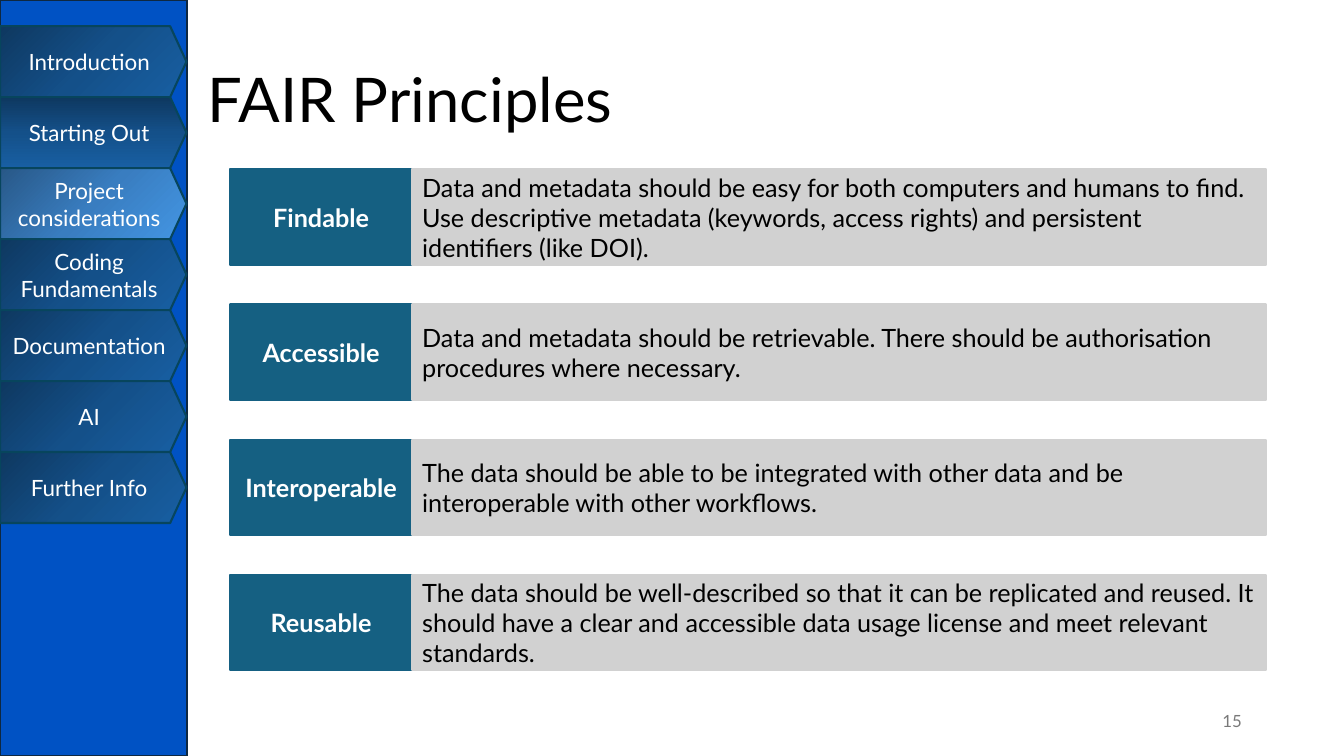
from dataclasses import dataclass
from copy import deepcopy

from pptx import Presentation
from pptx.dml.color import RGBColor
from pptx.enum.shapes import MSO_SHAPE
from pptx.enum.text import MSO_ANCHOR, PP_ALIGN
from pptx.oxml.ns import qn
from pptx.util import Pt

RECTANGLE = MSO_SHAPE.RECTANGLE
PENTAGON = MSO_SHAPE.PENTAGON
MIDDLE = MSO_ANCHOR.MIDDLE
LEFT, CENTER, RIGHT = PP_ALIGN.LEFT, PP_ALIGN.CENTER, PP_ALIGN.RIGHT

FONT = "Lato"
WHITE, BLACK, GREY = "FFFFFF", "000000", "797979"
SIDEBAR_BLUE, SIDEBAR_EDGE = "0052C4", "0E2841"
LABEL_TEAL, DETAIL_GREY, TAB_EDGE = "156082", "D1D1D1", "07455D"
TAB_SHADES = ("0E3860", "145089", "185FA3")
CURRENT_SHADES = ("285887", "397DC0", "4395E3")

SLIDE_WIDTH, SLIDE_HEIGHT = 960, 540
SIDEBAR_WIDTH = 133.9
TAB_TOP, TAB_WIDTH, TAB_HEIGHT = 18.7, 133.2, 50.7
ROW_TOP, ROW_PITCH, ROW_HEIGHT = 121, 96.5, 68.4
LABEL_LEFT, LABEL_WIDTH = 164.2, 130.3
DETAIL_WIDTH = 609.8


@dataclass(frozen=True)
class Area:
    left: float
    top: float
    width: float
    height: float

    def lengths(self) -> tuple:
        return Pt(self.left), Pt(self.top), Pt(self.width), Pt(self.height)


@dataclass(frozen=True)
class Style:
    size: float
    color: str
    align: PP_ALIGN = LEFT
    bold: bool = False
    line_spacing: float = 1.0


@dataclass(frozen=True)
class Tab:
    text: str
    shades: tuple = TAB_SHADES
    angle: float = 45


@dataclass(frozen=True)
class Principle:
    name: str
    detail: str


TITLE_STYLE = Style(44, BLACK, line_spacing=0.9)
NUMBER_STYLE = Style(12, GREY, RIGHT)
TAB_STYLE = Style(16, WHITE, CENTER)
LABEL_STYLE = Style(18, WHITE, CENTER, bold=True)
DETAIL_STYLE = Style(18, BLACK)

TABS = (
    Tab("Introduction"),
    Tab("Starting Out", angle=90),
    Tab("Project considerations", CURRENT_SHADES),
    Tab("Coding Fundamentals"),
    Tab("Documentation"),
    Tab("AI"),
    Tab("Further Info"),
)

PRINCIPLES = (
    Principle("Findable", "Data and metadata should be easy for both computers and humans "
              "to find. Use descriptive metadata (keywords, access rights) and persistent "
              "identifiers (like DOI)."),
    Principle("Accessible", "Data and metadata should be retrievable. There should be "
              "authorisation procedures where necessary."),
    Principle("Interoperable", "The data should be able to be integrated with other data "
              "and be interoperable with other workflows."),
    Principle("Reusable", "The data should be well-described so that it can be replicated "
              "and reused. It should have a clear and accessible data usage license and "
              "meet relevant standards."),
)


def rgb(value: str) -> RGBColor:
    return RGBColor.from_string(value)


def write(box, text: str, style: Style) -> None:
    frame = box.text_frame
    frame.word_wrap = True
    frame.vertical_anchor = MIDDLE
    para = frame.paragraphs[0]
    para.alignment = style.align
    para.line_spacing = style.line_spacing
    span = para.add_run()
    span.text = text
    span.font.name = FONT
    span.font.size = Pt(style.size)
    span.font.bold = style.bold
    span.font.color.rgb = rgb(style.color)


def add_text(page, area: Area, text: str, style: Style) -> None:
    write(page.shapes.add_textbox(*area.lengths()), text, style)


def add_outlined(page, kind: MSO_SHAPE, area: Area, edge: str):
    shape = page.shapes.add_shape(kind, *area.lengths())
    shape.shadow.inherit = False
    shape.line.color.rgb = rgb(edge)
    shape.line.width = Pt(1.5)
    return shape


def add_block(page, area: Area, color: str, edge: str):
    block = add_outlined(page, RECTANGLE, area, edge)
    block.fill.solid()
    block.fill.fore_color.rgb = rgb(color)
    return block


def fill_gradient(shape, shades: tuple, angle: float) -> None:
    """Spread three shades evenly, with the angle measured clockwise."""
    shape.fill.gradient()
    shape.fill.gradient_angle = 360 - angle
    stop_list = next(shape.element.iter(qn("a:gsLst")))
    stop_list.insert(1, deepcopy(stop_list[0]))
    for index, (stop, shade) in enumerate(zip(shape.fill.gradient_stops, shades)):
        stop.position = index / 2
        stop.color.rgb = rgb(shade)


def add_tab(page, index: int, tab: Tab) -> None:
    area = Area(0, TAB_TOP + index * TAB_HEIGHT, TAB_WIDTH, TAB_HEIGHT)
    shape = add_outlined(page, PENTAGON, area, TAB_EDGE)
    shape.adjustments[0] = 0.23
    fill_gradient(shape, tab.shades, tab.angle)
    write(shape, tab.text, TAB_STYLE)


def add_principle(page, index: int, principle: Principle) -> None:
    top = ROW_TOP + index * ROW_PITCH
    label_area = Area(LABEL_LEFT, top, LABEL_WIDTH, ROW_HEIGHT)
    detail_area = Area(LABEL_LEFT + LABEL_WIDTH, top, DETAIL_WIDTH, ROW_HEIGHT)
    label = add_block(page, label_area, LABEL_TEAL, LABEL_TEAL)
    write(label, principle.name, LABEL_STYLE)
    detail = add_block(page, detail_area, DETAIL_GREY, DETAIL_GREY)
    write(detail, principle.detail, DETAIL_STYLE)


def main() -> None:
    deck = Presentation()
    deck.slide_width, deck.slide_height = Pt(SLIDE_WIDTH), Pt(SLIDE_HEIGHT)
    page = deck.slides.add_slide(deck.slide_layouts[6])
    add_block(page, Area(0, 0, SIDEBAR_WIDTH, SLIDE_HEIGHT), SIDEBAR_BLUE, SIDEBAR_EDGE)
    add_text(page, Area(141.1, 20.9, 753.1, 104.4), "FAIR Principles", TITLE_STYLE)
    for index, principle in enumerate(PRINCIPLES):
        add_principle(page, index, principle)
    add_text(page, Area(696.2, 500.4, 198, 28.8), "15", NUMBER_STYLE)
    for index, tab in enumerate(TABS):
        add_tab(page, index, tab)
    deck.save("out.pptx")


if __name__ == "__main__":
    main()
